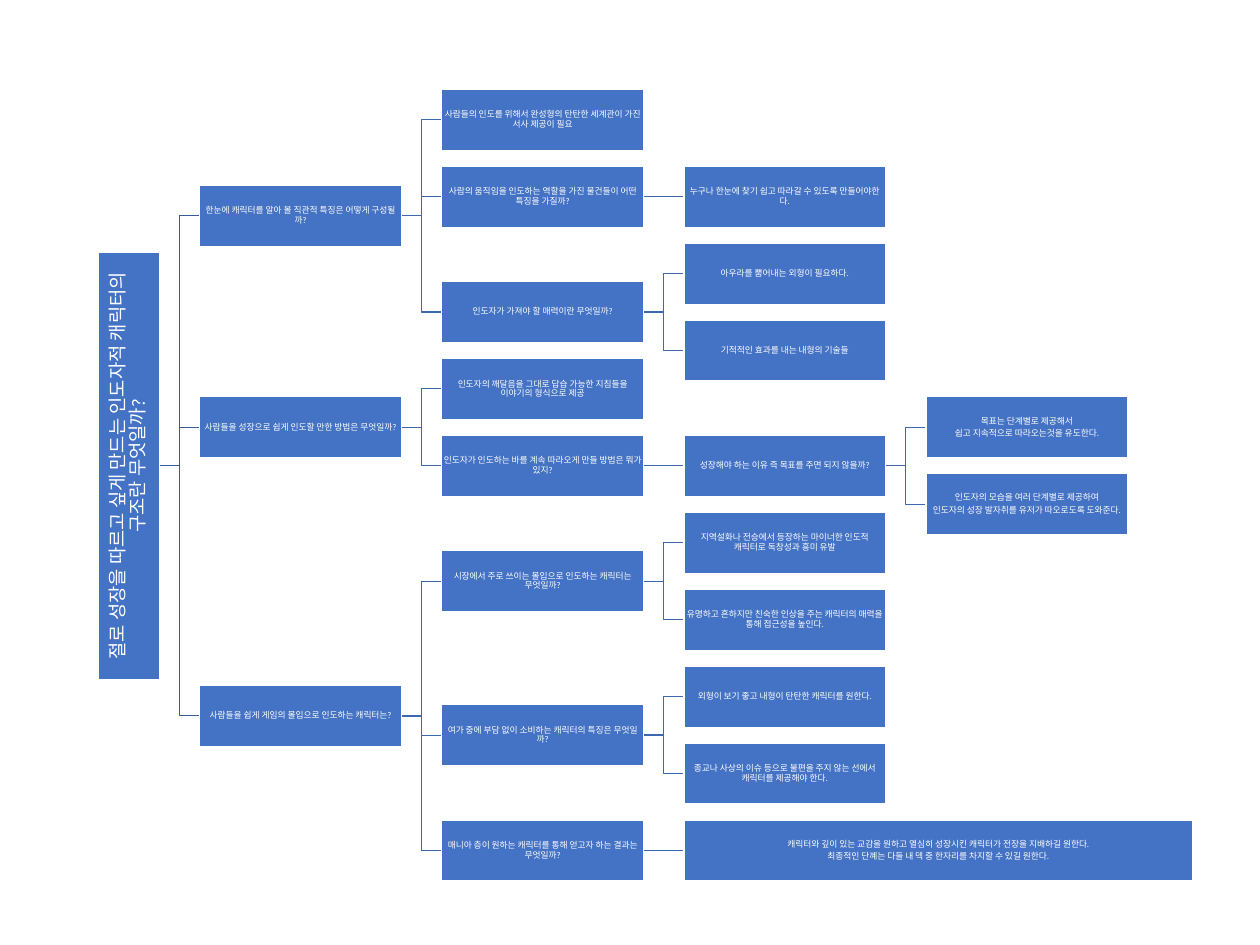
from dataclasses import dataclass, field

import pptx
import pptx.dml.color
import pptx.enum.shapes
import pptx.enum.text
import pptx.util
from lxml import etree
from pptx.oxml.ns import qn

Inches = pptx.util.Inches
Pt = pptx.util.Pt


@dataclass(frozen=True)
class Theme:
    font: str = "Calibri"
    box: str = "4472C4"
    white: str = "FFFFFF"
    root_link: str = "365B9D"
    link: str = "3E67B2"
    root_size: int = 15
    node_size: int = 7
    line_width: int = 1
    side_margin: float = 0.02


@dataclass
class Node:
    lines: list
    children: list = field(default_factory=list)
    row: float = 0
    width: float = 2.24


THEME = Theme()
BOX_H = 0.68
GAP = 0.45
COLUMN = 2.24 + GAP
ROOT_LENGTH = 4.75
ROWS = 19


def leaf(row, *lines, width=2.24):
    return Node(lines, row=row, width=width)


def branch(text, *children):
    row = (children[0].row + children[-1].row) / 2
    return Node([text], list(children), row)


TREE = branch(
    "절로 성장을 따르고 싶게 만드는 인도자적 캐릭터의 구조란 무엇일까?",
    branch(
        "한눈에 캐릭터를 알아 볼 직관적 특징은 어떻게 구성될까?",
        leaf(0, "사람들의 인도를 위해서 완성형의 탄탄한 세계관이 가진 서사 제공이 필요"),
        branch(
            "사람의 움직임을 인도하는 역할을 가진 물건들이 어떤 특징을 가질까?",
            leaf(2, "누구나 한눈에 찾기 쉽고 따라갈 수 있도록 만들어야한다."),
        ),
        branch(
            "인도자가 가져야 할 매력이란 무엇일까?",
            leaf(4, "아우라를 뿜어내는 외형이 필요하다."),
            leaf(6, "기적적인 효과를 내는 내형의 기술들"),
        ),
    ),
    branch(
        "사람들을 성장으로 쉽게 인도할 만한 방법은 무엇일까?",
        leaf(7, "인도자의 깨달음을 그대로 답습 가능한 지침들을 이야기의 형식으로 제공"),
        branch(
            "인도자가 인도하는 바를 계속 따라오게 만들 방법은 뭐가 있지?",
            branch(
                "성장해야 하는 이유 즉 목표를 주면 되지 않을까?",
                leaf(8, "목표는 단계별로 제공해서", "쉽고 지속적으로 따라오는것을 유도한다."),
                leaf(10, "인도자의 모습을 여러 단계별로 제공하여",
                     "인도자의 성장 발자취를 유저가 따오로도록 도와준다."),
            ),
        ),
    ),
    branch(
        "사람들을 쉽게 게임의 몰입으로 인도하는 캐릭터는?",
        branch(
            "시장에서 주로 쓰이는 몰입으로 인도하는 캐릭터는 무엇일까?",
            leaf(11, "지역설화나 전승에서 등장하는 마이너한 인도적 캐릭터로 독창성과 흥미 유발"),
            leaf(13, "유명하고 흔하지만 친숙한 인상을 주는 캐릭터의 매력을 통해 접근성을 높인다."),
        ),
        branch(
            "여가 중에 부담 없이 소비하는 캐릭터의 특징은 무엇일까?",
            leaf(15, "외형이 보기 좋고 내형이 탄탄한 캐릭터를 원한다."),
            leaf(17, "종교나 사상의 이슈 등으로 불편을 주지 않는 선에서 캐릭터를 제공해야 한다."),
        ),
        branch(
            "매니아 층이 원하는 캐릭터를 통해 얻고자 하는 결과는 무엇일까?",
            leaf(19, "캐릭터와 깊이 있는 교감을 원하고 열심히 성장시킨 캐릭터가 전장을 지배하길 원한다.",
                 "최종적인 단꼐는 다들 내 덱 중 한자리를 차지할 수 있길 원한다.", width=5.65),
        ),
    ),
)


def rgb(value):
    return pptx.dml.color.RGBColor.from_string(value)


def draw_box(slide, lines, left, top, width, size, rotation=0):
    sp = slide.shapes.add_shape(
        pptx.enum.shapes.MSO_SHAPE.RECTANGLE,
        Inches(left), Inches(top), Inches(width), Inches(BOX_H))
    sp.rotation = rotation
    sp.shadow.inherit = False
    sp.fill.solid()
    sp.fill.fore_color.rgb = rgb(THEME.box)
    sp.line.color.rgb = rgb(THEME.white)
    sp.line.width = Pt(THEME.line_width)
    tf = sp.text_frame
    tf.word_wrap = True
    tf.vertical_anchor = pptx.enum.text.MSO_ANCHOR.MIDDLE
    tf.margin_left = tf.margin_right = Inches(THEME.side_margin)
    tf.margin_top = tf.margin_bottom = 0
    for i, line in enumerate(lines):
        p = tf.paragraphs[0] if i == 0 else tf.add_paragraph()
        p.alignment = pptx.enum.text.PP_ALIGN.CENTER
        p.line_spacing = 0.9
        p.space_after = Pt(round(size * 0.35, 2))
        p._p.get_or_add_pPr().set("hangingPunct", "0")
        r = p.add_run()
        r.text = line
        r.font.name = THEME.font
        r.font.size = Pt(size)
        r.font.color.rgb = rgb(THEME.white)


def draw_link(slide, left, start_y, end_y, color):
    kinds = pptx.enum.shapes.MSO_CONNECTOR
    kind = kinds.STRAIGHT if abs(start_y - end_y) < 0.01 else kinds.ELBOW
    cxn = slide.shapes.add_connector(
        kind, Inches(left), Inches(start_y), Inches(left + GAP), Inches(end_y))
    cxn.line.color.rgb = rgb(color)
    cxn.line.width = Pt(THEME.line_width)
    etree.SubElement(cxn._element.spPr, qn("a:effectLst"))


def draw_tree(slide, root, left, top, height):
    pitch = (height - BOX_H) / ROWS

    def center(node):
        return top + BOX_H / 2 + node.row * pitch

    def column(level):
        return left + BOX_H + GAP + (level - 1) * COLUMN

    def draw_links(node, level):
        color = THEME.link if level else THEME.root_link
        for child in node.children:
            draw_link(slide, column(level + 1) - GAP, center(node), center(child), color)
            draw_links(child, level + 1)

    def draw_nodes(node, level):
        for child in node.children:
            draw_box(slide, child.lines, column(level), center(child) - BOX_H / 2,
                     child.width, THEME.node_size)
            draw_nodes(child, level + 1)

    draw_links(root, 0)
    draw_box(slide, root.lines, left + (BOX_H - ROOT_LENGTH) / 2,
             center(root) - BOX_H / 2, ROOT_LENGTH, THEME.root_size, 270)
    draw_nodes(root, 1)


def main():
    prs = pptx.Presentation()
    prs.slide_width = Inches(14)
    prs.slide_height = Inches(10.5)
    slide = prs.slides.add_slide(prs.slide_layouts[6])
    draw_tree(slide, TREE, left=1.09, top=0.99, height=8.8)
    prs.save("out.pptx")


if __name__ == "__main__":
    main()
